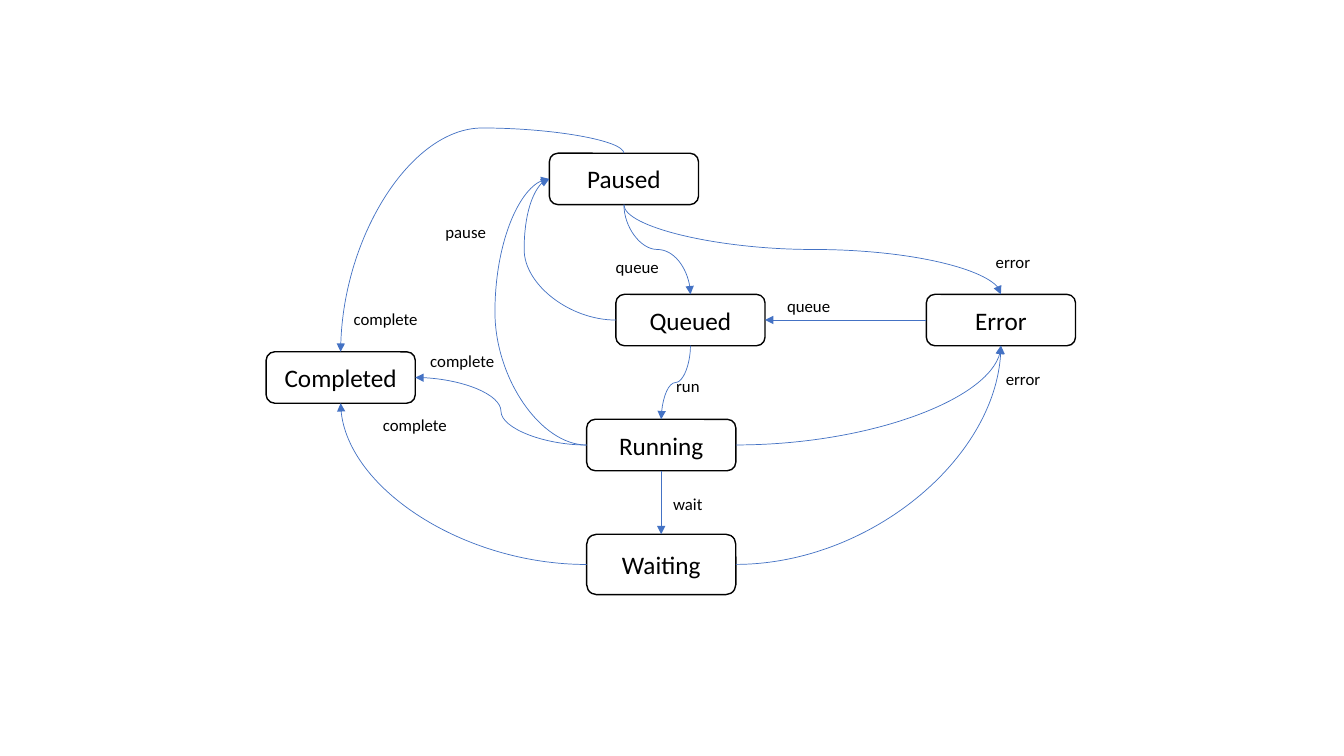
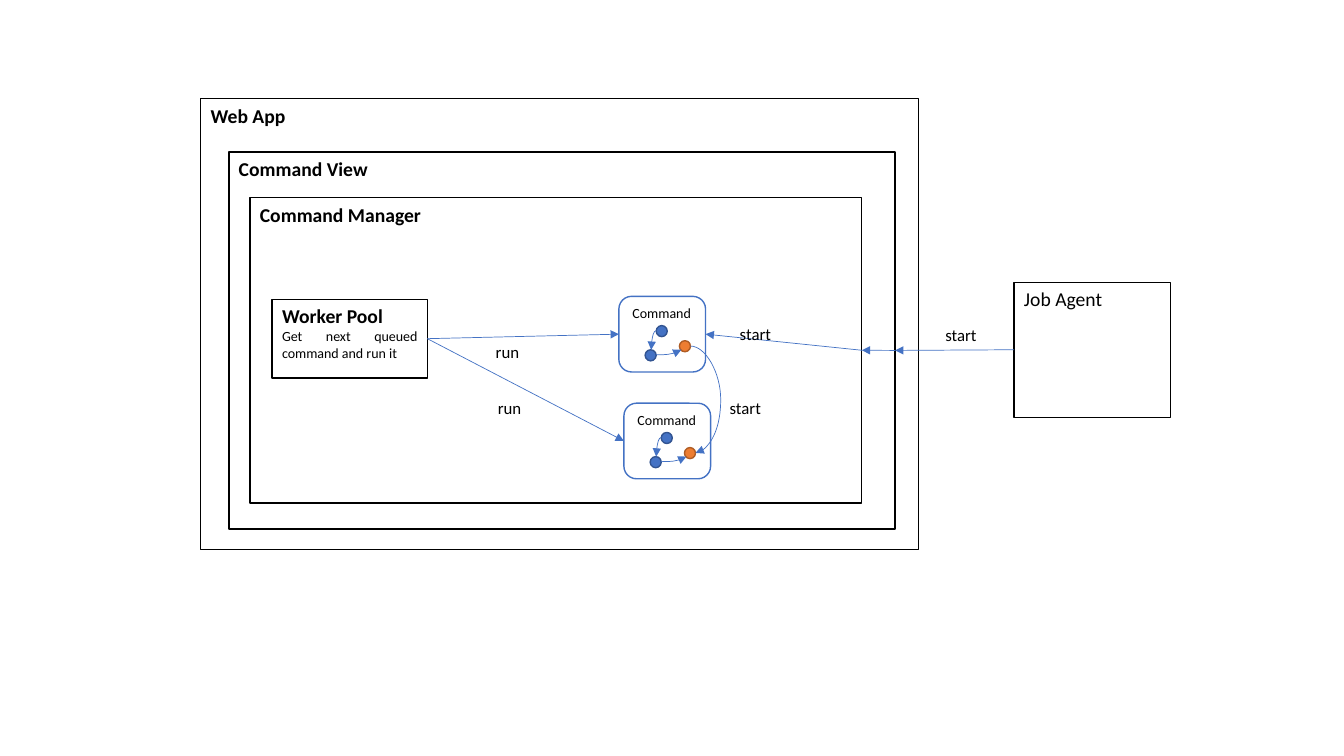
from pptx import Presentation
from pptx import util as u
from pptx.dml.color import RGBColor
from pptx.enum import shapes, text
from pptx.oxml.ns import qn
from lxml import etree

COLORS = {"ink": "000000", "paper": "FFFFFF", "blue": "4472C4", "blue_edge": "325491",
          "orange": "ED7D31", "orange_edge": "AF5C24"}
FONT = "Calibri"
COLS, ROWS = 40, 22.5
CELL = u.Inches(40 / 3) / COLS
LABEL_WIDTHS = {"pause": 1.83, "queue": 1.89, "complete": 2.52, "run": 1.32,
                "error": 1.65, "wait": 1.5, "start": 1.56}
SITES = {"top": 0, "left": 1, "bottom": 2, "right": 3}
SHAPE, ALIGN = shapes.MSO_SHAPE, text.PP_ALIGN


def color(name):
    """Return a named colour."""
    return RGBColor.from_string(COLORS[name])


def cells(*values):
    """Turn grid cells into slide lengths."""
    return [u.Emu(round(v * CELL)) for v in values]


def style_text(p, words, size, align=ALIGN.LEFT, bold=False):
    """Fill one paragraph and set its font."""
    p.text, p.alignment = words, align
    p.font.name, p.font.size, p.font.bold = FONT, u.Pt(size), bold
    p.font.color.rgb = color("ink")


def add_box(parts, kind, box, line, fill=None):
    """Add an outlined shape, filled only when a fill is named."""
    sp = parts.add_shape(kind, *cells(*box))
    sp.shadow.inherit = False
    sp.line.color.rgb, sp.line.width = color(line), u.Pt(1)
    if fill:
        sp.fill.solid()
        sp.fill.fore_color.rgb = color(fill)
    else:
        sp.fill.background()
    return sp


def add_label(parts, words, x, y):
    """Add the small caption of an arrow."""
    tf = parts.add_textbox(*cells(x, y, LABEL_WIDTHS[words], 0.9)).text_frame
    tf.word_wrap = False
    tf.auto_size = text.MSO_AUTO_SIZE.SHAPE_TO_FIT_TEXT
    style_text(tf.paragraphs[0], words, 12)


def add_arrow(parts, start, end, kind=shapes.MSO_CONNECTOR.STRAIGHT):
    """Join two ends, each a point in cells or a (shape, side) pair."""
    points = [(0, 0) if isinstance(e[1], str) else e for e in (start, end)]
    c = parts.add_connector(kind, *cells(*points[0], *points[1]))
    for e, connect in ((start, c.begin_connect), (end, c.end_connect)):
        if isinstance(e[1], str):
            connect(e[0], SITES[e[1]])
    c.line.color.rgb, c.line.width = color("blue"), u.Pt(0.5)
    etree.SubElement(c.line._get_or_add_ln(), qn("a:tailEnd"), type="triangle")
    etree.SubElement(c._element.spPr, qn("a:effectLst"))
    return c


def add_curve(parts, start, end, down=False, corner=False, bend=None):
    """Add a curved arrow that leaves sideways or down.

    A corner curve turns once; bend is the turn's distance from the start in cells.
    """
    c = add_arrow(parts, start, end, shapes.MSO_CONNECTOR.CURVE)
    x, y = c.begin_x, c.begin_y
    dx, dy = c.end_x - x, c.end_y - y
    w, h = (abs(dy), abs(dx)) if down else (abs(dx), abs(dy))
    c.left, c.top = u.Emu(round(x + (dx - w) / 2)), u.Emu(round(y + (dy - h) / 2))
    c.width, c.height = u.Emu(w), u.Emu(h)
    xfrm = c._element.spPr.find(qn("a:xfrm"))
    xfrm.set("flipH", str(int(down)))
    xfrm.set("flipV", str(int(dx < 0 if down else (dx < 0) != (dy < 0))))
    c.rotation = 270 if down else 180 * (dx < 0)
    geom = c._element.spPr.find(qn("a:prstGeom"))
    if corner:
        geom.set("prst", "curvedConnector2")
    elif bend is not None:
        share = bend * CELL / (dy if down else dx)
        etree.SubElement(geom.find(qn("a:avLst")), qn("a:gd"), name="adj1",
                         fmla=f"val {round(share * 100000)}")


def state_diagram(parts, left, top):
    """Draw the states of a command and the moves between them."""
    states = {}
    for name, x, y, h in (("Paused", 8.43, 0, 1.53), ("Queued", 10.41, 4.2, 1.53),
                          ("Running", 9.54, 7.92, 1.53), ("Completed", 0, 5.91, 1.53),
                          ("Error", 19.65, 4.2, 1.53), ("Waiting", 9.54, 11.34, 1.8)):
        sp = add_box(parts, SHAPE.ROUNDED_RECTANGLE, (left + x, top + y, 4.44, h),
                     "ink", "paper")
        sp.text_frame.vertical_anchor = text.MSO_ANCHOR.MIDDLE
        style_text(sp.text_frame.paragraphs[0], name, 18, ALIGN.CENTER)
        states[name] = sp

    for source, side, target, entry, options in (
            ("Paused", "bottom", "Queued", "top", {"down": True}),
            ("Queued", "bottom", "Running", "top", {"down": True}),
            ("Running", "left", "Completed", "right", {}),
            ("Running", "right", "Error", "bottom", {"corner": True}),
            ("Queued", "left", "Paused", "left", {"bend": -2.73}),
            ("Paused", "bottom", "Error", "top", {"down": True}),
            ("Paused", "top", "Completed", "top", {"down": True, "bend": -0.75}),
            ("Error", "left", "Queued", "right", {}),
            ("Waiting", "right", "Error", "bottom", {"corner": True}),
            ("Waiting", "left", "Completed", "bottom", {"corner": True}),
            ("Running", "left", "Paused", "left", {"bend": -2.73})):
        add_curve(parts, (states[source], side), (states[target], entry), **options)
    add_arrow(parts, (states["Running"], "bottom"), (states["Waiting"], "top"))

    for words, x, y in (("pause", 5.04, 1.89), ("queue", 15.21, 4.08),
                        ("complete", 3.18, 7.65), ("complete", 4.59, 5.73),
                        ("run", 11.91, 6.48), ("error", 21.72, 6.27),
                        ("complete", 2.31, 4.47), ("wait", 11.82, 9.99),
                        ("queue", 10.11, 2.94), ("error", 21.42, 2.79)):
        add_label(parts, words, left + x, top + y)


def frame(parts, title, box, bold=True, body=None):
    """Draw a titled rectangle with an optional line of detail."""
    sp = add_box(parts, SHAPE.RECTANGLE, box, "ink")
    tf = sp.text_frame
    tf.vertical_anchor = text.MSO_ANCHOR.TOP
    style_text(tf.paragraphs[0], title, 14, ALIGN.JUSTIFY, bold)
    if body:
        style_text(tf.add_paragraph(), body, 10, ALIGN.JUSTIFY)
    return sp


def command(parts, left, top):
    """Draw a command with its three linked steps and return its outline."""
    group = parts.add_group_shape().shapes
    for x, y, hue in ((1.11, 0.87, "blue"), (0.78, 1.59, "blue"), (1.8, 1.32, "orange")):
        add_box(group, SHAPE.OVAL, (left + x, top + y, 0.33, 0.33), hue + "_edge", hue)
    for x1, y1, x2, y2 in ((1.11, 1.02, 0.96, 1.59), (1.11, 1.74, 1.86, 1.59)):
        add_curve(group, (left + x1, top + y1), (left + x2, top + y2), corner=True)
    sp = add_box(group, SHAPE.ROUNDED_RECTANGLE, (left, top, 2.58, 2.25), "blue")
    sp.text_frame.vertical_anchor = text.MSO_ANCHOR.TOP
    style_text(sp.text_frame.paragraphs[0], "Command", 10)
    return sp


def architecture(parts, left, top):
    """Draw the nested frames of the app, its commands and the outside agent."""
    def at(x, y, *size):
        return (left + x, top + y, *size)

    frame(parts, "Web App", at(0, 0, 21.36, 13.41))
    frame(parts, "Command View", at(0.84, 1.59, 19.83, 11.22))
    manager = frame(parts, "Command Manager", at(1.47, 2.94, 18.21, 9.09))
    agent = frame(parts, "Job Agent", at(24.21, 5.46, 4.65, 4.02), bold=False)
    pool = frame(parts, "Worker Pool", at(2.13, 5.97, 4.62, 2.34),
                 body="Get next queued command and run it")
    first_at, second_at = at(12.45, 5.88), at(12.6, 9.06)
    first, second = command(parts, *first_at), command(parts, *second_at)

    view_edge = at(20.67, 7.49)
    for start, end in (((agent, "left"), view_edge),
                       (view_edge, (manager, "right")),
                       ((manager, "right"), (first, "right")),
                       ((pool, "right"), (first, "left")),
                       ((pool, "right"), (second, "left"))):
        add_arrow(parts, start, end)
    add_curve(parts, *[(x + 2.13, y + 1.48) for x, y in (first_at, second_at)], bend=0.9)

    for words, x, y in (("start", 21.87, 6.57), ("start", 15.75, 6.54),
                        ("start", 15.45, 8.76), ("run", 8.49, 7.08), ("run", 8.55, 8.76)):
        add_label(parts, words, *at(x, y))


prs = Presentation()
prs.slide_width, prs.slide_height = cells(COLS, ROWS)
for draw, left, top in ((state_diagram, 7.92, 4.56), (architecture, 5.97, 2.94)):
    s = prs.slides.add_slide(prs.slide_layouts[6])
    draw(s.shapes, left, top)
prs.save("out.pptx")
